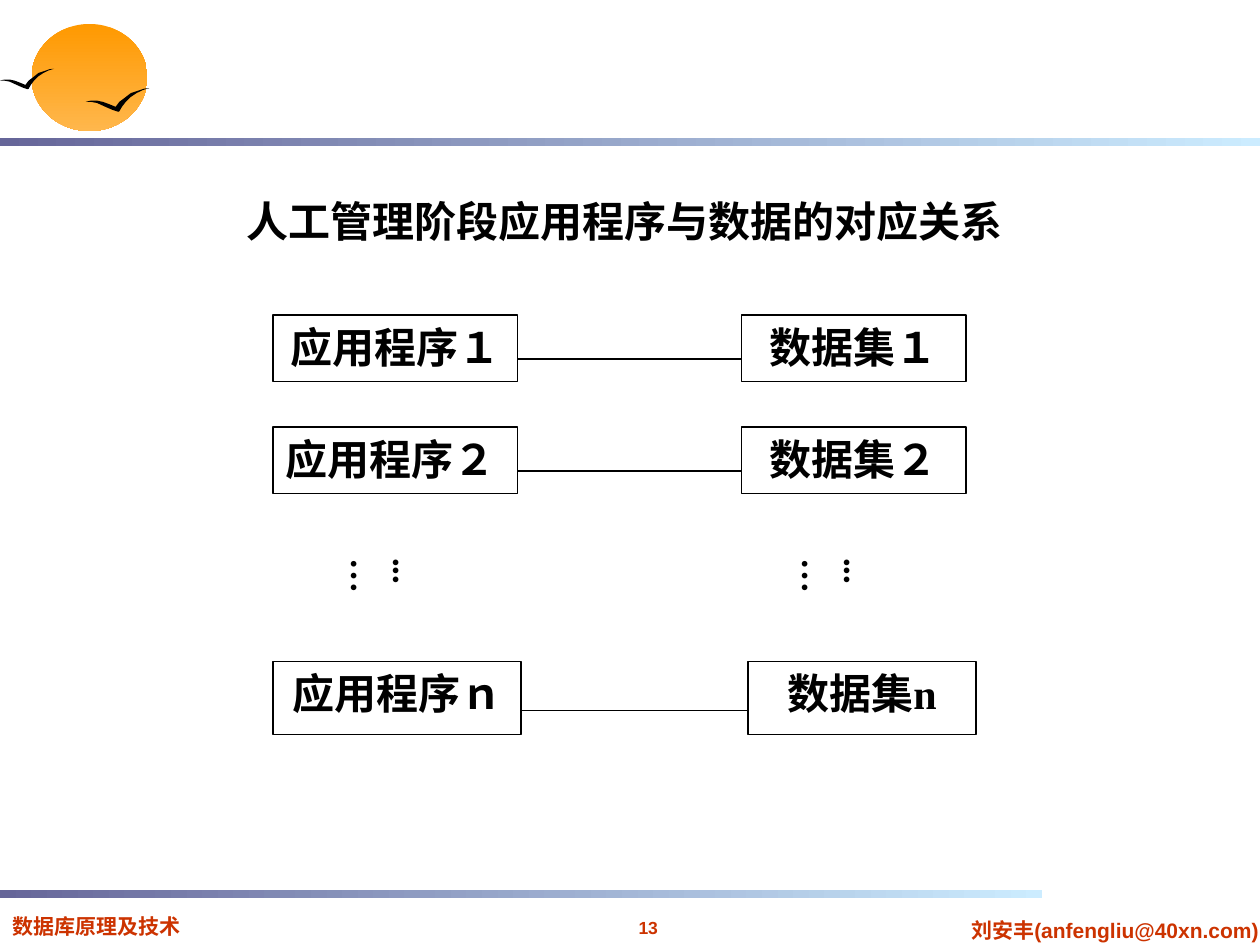
from dataclasses import dataclass

from lxml.etree import SubElement
from pptx import Presentation
from pptx.dml.color import RGBColor
from pptx.enum.shapes import MSO_CONNECTOR, MSO_SHAPE
from pptx.enum.text import MSO_ANCHOR, MSO_AUTO_SIZE, PP_ALIGN
from pptx.oxml.ns import qn
from pptx.util import Inches, Pt

COLUMNS, ROWS = 120, 90
CELL = Inches(10) / COLUMNS


@dataclass(frozen=True)
class Theme:
    ink: str = "000000"
    paper: str = "FFFFFF"
    accent: str = "CC3300"
    bar: tuple = ("666699", "CCECFF")
    sun: tuple = ("FF9900", "FFB74C")
    latin: str = "Times New Roman"
    footer: str = "Arial"
    east_asian: str = "Noto Sans CJK SC"
    title_size: int = 24
    node_size: int = 24
    dots_size: int = 20
    footer_size: int = 12
    number_size: int = 10
    line_width: float = 0.75


@dataclass(frozen=True)
class Box:
    left: float
    top: float
    width: float
    height: float

    def inner(self, left, top, width, height):
        return Box(self.left + left, self.top + top, width, height)

    def lengths(self):
        return [round(value * CELL) for value in (self.left, self.top, self.width, self.height)]


THEME = Theme()
BIRD = [
    (0, 58), (8, 53), (18, 53), (27, 58), (37, 68), (47, 79), (53, 58), (61, 42),
    (71, 21), (82, 11), (92, 2), (100, 0), (90, 8), (80, 21), (71, 37), (63, 58),
    (57, 79), (53, 98), (51, 100), (43, 93), (31, 79), (18, 63), (8, 58),
]


def set_values(target, values):
    for name, value in values.items():
        setattr(target, name, value)


def write(shape, text, size, font=THEME.latin, color=THEME.ink, align=PP_ALIGN.CENTER, **frame_values):
    frame = shape.text_frame
    set_values(frame, {
        "word_wrap": True,
        "auto_size": MSO_AUTO_SIZE.NONE,
        "vertical_anchor": MSO_ANCHOR.TOP,
        **frame_values,
    })
    para = frame.paragraphs[0]
    para.alignment = align
    span = para.add_run()
    span.text = text
    set_values(span.font, {"name": font, "size": Pt(size), "bold": True})
    span.font.color.rgb = RGBColor.from_string(color)
    SubElement(span.font._element, qn("a:ea")).set("typeface", THEME.east_asian)


def add_gradient(page, kind, box, colors, angle):
    shape = page.shapes.add_shape(kind, *box.lengths())
    shape.shadow.inherit = False
    shape.line.fill.background()
    shape.fill.gradient()
    shape.fill.gradient_angle = angle
    for stop, color in zip(shape.fill.gradient_stops, colors):
        stop.color.rgb = RGBColor.from_string(color)


def add_bird(page, box):
    left, top, width, height = box.lengths()
    points = [(left + x * width / 100, top + y * height / 100) for x, y in BIRD]
    builder = page.shapes.build_freeform(*points[0])
    builder.add_line_segments(points[1:], close=True)
    bird = builder.convert_to_shape()
    bird.shadow.inherit = False
    bird.fill.solid()
    bird.fill.fore_color.rgb = RGBColor.from_string(THEME.ink)
    bird.line.fill.background()


def add_header(page, box):
    add_gradient(page, MSO_SHAPE.OVAL, box.inner(3, 2.28, 11.04, 10.2), THEME.sun, 270)
    add_bird(page, box.inner(0, 6.55, 5.16, 1.95))
    add_bird(page, box.inner(8.16, 8.4, 6.06, 2.25))
    add_gradient(page, MSO_SHAPE.RECTANGLE, box.inner(0, 13.14, box.width, 0.76), THEME.bar, 0)


def add_footer(page, box):
    add_gradient(page, MSO_SHAPE.RECTANGLE, box.inner(0, 0, 99.24, 0.76), THEME.bar, 0)
    notes = [
        ("数据库原理及技术", (0, 1.6, 24, 3.6), THEME.footer_size, PP_ALIGN.LEFT, True),
        ("13", (56.52, 1.96, 10.44, 3.24), THEME.number_size, PP_ALIGN.CENTER, False),
        ("刘安丰(anfengliu@40xn.com)", (91.08, 1.96, 30.24, 3.6), THEME.footer_size, PP_ALIGN.CENTER, False),
    ]
    for text, place, size, align, wrap in notes:
        note = page.shapes.add_textbox(*box.inner(*place).lengths())
        write(note, text, size, THEME.footer, THEME.accent, align, word_wrap=wrap)


def add_title(page, box):
    title = page.shapes.title
    set_values(title, dict(zip(("left", "top", "width", "height"), box.lengths())))
    write(title, "人工管理阶段应用程序与数据的对应关系", THEME.title_size,
          THEME.east_asian, vertical_anchor=MSO_ANCHOR.BOTTOM)


def add_node(page, box, text, align=PP_ALIGN.CENTER):
    node = page.shapes.add_shape(MSO_SHAPE.RECTANGLE, *box.lengths())
    node.shadow.inherit = False
    node.fill.solid()
    node.fill.fore_color.rgb = RGBColor.from_string(THEME.paper)
    node.line.color.rgb = RGBColor.from_string(THEME.ink)
    node.line.width = Pt(THEME.line_width)
    write(node, text, THEME.node_size, align=align)


def add_pair(page, box, program, data, program_width, data_width, link_row, align):
    data_left = box.width - data_width
    add_node(page, box.inner(0, 0, program_width, box.height), program, align)
    add_node(page, box.inner(data_left, 0, data_width, box.height), data)
    left, top, width, _ = box.inner(program_width, link_row, data_left - program_width, 0).lengths()
    link = page.shapes.add_connector(MSO_CONNECTOR.STRAIGHT, left, top, left + width, top)
    link.line.color.rgb = RGBColor.from_string(THEME.ink)
    link.line.width = Pt(THEME.line_width)
    SubElement(link._element.spPr, qn("a:effectLst"))


def add_dots(page, box):
    dots = page.shapes.add_textbox(*box.lengths())
    margins = {"margin_left": Inches(0.05), "margin_right": Inches(0.05),
               "margin_top": Inches(0.1), "margin_bottom": Inches(0.1)}
    write(dots, "...…", THEME.dots_size, align=PP_ALIGN.LEFT, **margins)
    dots.text_frame._txBody.bodyPr.set("vert", "eaVert")


def add_diagram(page, box):
    small, large = (23.28, 21.36, 4.2), (23.64, 21.72, 4.68)
    pairs = [
        ("应用程序１", "数据集１", (0, 0, 66, 6.36), small, PP_ALIGN.CENTER),
        ("应用程序２", "数据集２", (0, 10.66, 66, 6.36), small, PP_ALIGN.JUSTIFY),
        ("应用程序ｎ", "数据集n", (0, 33, 66.96, 6.96), large, PP_ALIGN.CENTER),
    ]
    for program, data, place, sizes, align in pairs:
        add_pair(page, box.inner(*place), program, data, *sizes, align)
    for column in (9.04, 52):
        add_dots(page, box.inner(column, 21.96, 6.36, 8.04))


def main():
    deck = Presentation()
    deck.slide_width = round(COLUMNS * CELL)
    deck.slide_height = round(ROWS * CELL)
    page = deck.slides.add_slide(deck.slide_layouts[5])
    add_header(page, Box(0, 0, COLUMNS, 14))
    add_footer(page, Box(0, 84.8, COLUMNS, 5.2))
    add_diagram(page, Box(26, 30, 67, 40))
    add_title(page, Box(14, 18, 91, 6))
    deck.save("out.pptx")


if __name__ == "__main__":
    main()
